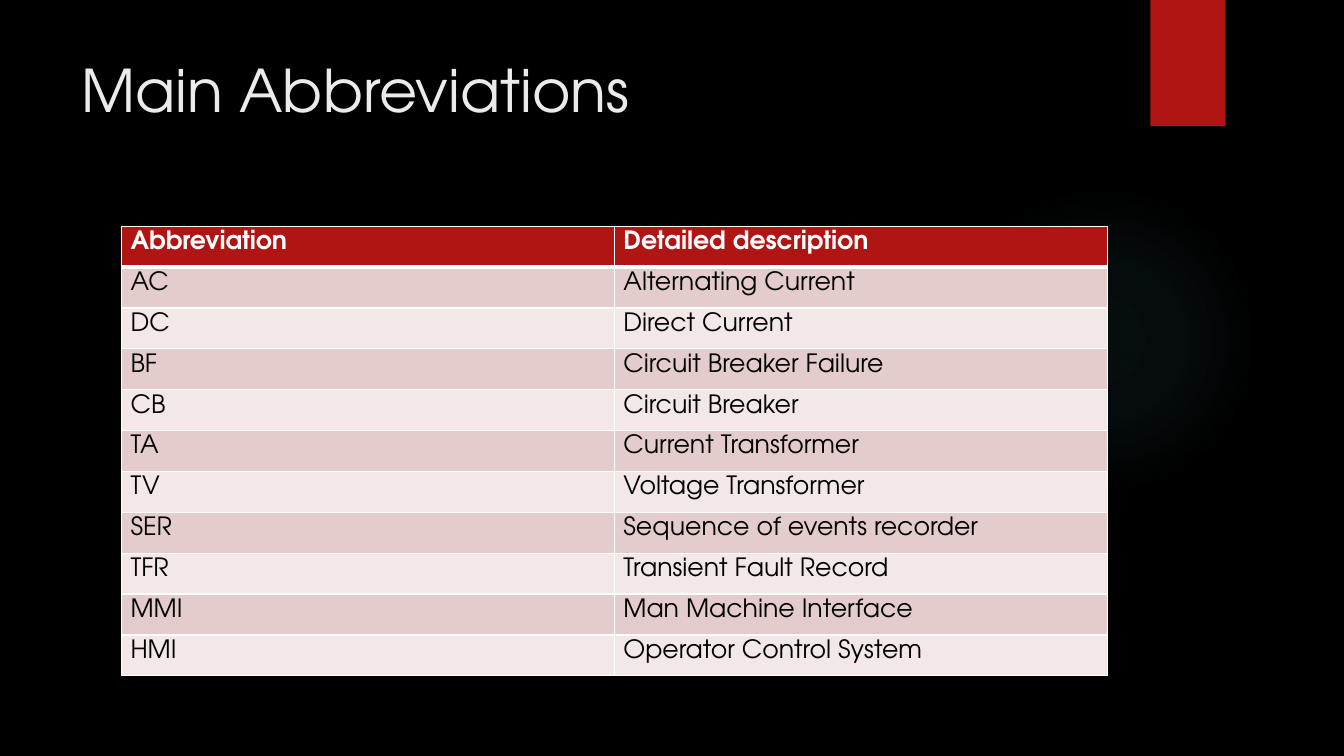
from lxml.etree import SubElement
from pptx import Presentation
from pptx.dml.color import RGBColor
from pptx.enum.shapes import MSO_SHAPE
from pptx.oxml import parse_xml
from pptx.oxml.ns import nsdecls, qn
from pptx.util import Cm, Pt

TITLE = "Main Abbreviations"
ROWS = [
    ("Abbreviation", "Detailed description"),
    ("AC", "Alternating Current"),
    ("DC", "Direct Current"),
    ("BF", "Circuit Breaker Failure"),
    ("CB", "Circuit Breaker"),
    ("TA", "Current Transformer"),
    ("TV", "Voltage Transformer"),
    ("SER", "Sequence of events recorder"),
    ("TFR", "Transient Fault Record"),
    ("MMI", "Man Machine Interface"),
    ("HMI", "Operator Control System"),
]
FONT = "TeX Gyre Adventor"
COLORS = {
    "background": "000000", "title": "EBEBEB", "accent": "B01513",
    "glow": "50B9C1", "header text": "FFFFFF", "body text": "000000",
    "odd row": "E4CCCC", "even row": "F2E8E7", "border": "FFFFFF",
}
GLOW_STOPS = [(0, 7), (36, 6), (69, 0)]  # position %, opacity %
COL_WIDTH, ROW_HEIGHT = Cm(12.42), Cm(1.03)


def rgb(name):
    """Return the named colour."""
    return RGBColor.from_string(COLORS[name])


def style(p, size, color, bold=False):
    """Set the font of a paragraph."""
    p.font.name, p.font.size, p.font.bold = FONT, Pt(size), bold
    p.font.color.rgb = rgb(color)


def add_plain(s, kind, left, top, width, height):
    """Add a shape in the accent colour without line or shadow."""
    sp = s.shapes.add_shape(kind, Cm(left), Cm(top), Cm(width), Cm(height))
    sp.shadow.inherit = False
    sp.line.fill.background()
    sp.fill.solid()
    sp.fill.fore_color.rgb = rgb("accent")
    return sp


def add_glow(s):
    """Add the faint radial glow."""
    sp = add_plain(s, MSO_SHAPE.OVAL, 23.9, 4.65, 7.82, 7.82)
    stops = "".join(
        f'<a:gs pos="{pos * 1000}"><a:srgbClr val="{COLORS["glow"]}">'
        f'<a:alpha val="{alpha * 1000}"/></a:srgbClr></a:gs>'
        for pos, alpha in GLOW_STOPS)
    gradient = parse_xml(
        f'<a:gradFill {nsdecls("a")}><a:gsLst>{stops}</a:gsLst>'
        '<a:path path="circle"><a:fillToRect l="50000" t="50000" r="50000" '
        'b="50000"/></a:path></a:gradFill>')
    props = sp.element.spPr
    props.replace(props.find(qn("a:solidFill")), gradient)


def add_ribbon(s):
    """Add the red ribbon with its soft shadow."""
    sp = add_plain(s, MSO_SHAPE.RECTANGLE, 28.99, 0, 1.9, 3.18)
    effects = sp.element.spPr.find(qn("a:effectLst"))
    effects.append(parse_xml(
        f'<a:outerShdw {nsdecls("a")} blurRad="{Pt(3)}" dist="{Pt(2)}" '
        'dir="5400000" rotWithShape="0"><a:srgbClr val="000000">'
        '<a:alpha val="45000"/></a:srgbClr></a:outerShdw>'))


def add_title(s):
    """Add the slide title."""
    tf = s.shapes.add_textbox(Cm(1.8), Cm(1.24), Cm(26.14), Cm(3.89)).text_frame
    tf.word_wrap = True
    tf.text = TITLE
    style(tf.paragraphs[0], 42, "title")


def set_borders(cell, bottom, top):
    """Draw the four borders of a cell, widths in points."""
    props = cell._tc.get_or_add_tcPr()
    widths = {"a:lnL": 1, "a:lnR": 1, "a:lnT": top, "a:lnB": bottom}
    for i, (tag, width) in enumerate(widths.items()):
        line = SubElement(props, qn(tag), w=str(Pt(width)))
        fill = SubElement(line, qn("a:solidFill"))
        SubElement(fill, qn("a:srgbClr"), val=COLORS["border"])
        props.insert(i, line)


def add_abbreviations(s):
    """Add the table with a header and alternating rows."""
    count = len(ROWS)
    table = s.shapes.add_table(count, 2, Cm(3.07), Cm(5.7),
                               COL_WIDTH * 2, ROW_HEIGHT * count).table
    for i, texts in enumerate(ROWS):
        header = i == 0
        fill = "accent" if header else "odd row" if i % 2 else "even row"
        for j, text in enumerate(texts):
            cell = table.cell(i, j)
            cell.margin_left = cell.margin_right = Cm(0.22)
            cell.margin_top = cell.margin_bottom = Cm(0.12)
            cell.fill.solid()
            cell.fill.fore_color.rgb = rgb(fill)
            cell.text = text
            style(cell.text_frame.paragraphs[0], 18,
                  "header text" if header else "body text", header)
            set_borders(cell, bottom=3 if header else 1, top=3 if i == 1 else 1)


prs = Presentation()
prs.slide_width, prs.slide_height = Cm(33.87), Cm(19.05)
s = prs.slides.add_slide(prs.slide_layouts[6])
s.background.fill.solid()
s.background.fill.fore_color.rgb = rgb("background")
add_glow(s)
add_ribbon(s)
add_title(s)
add_abbreviations(s)
prs.save("out.pptx")
